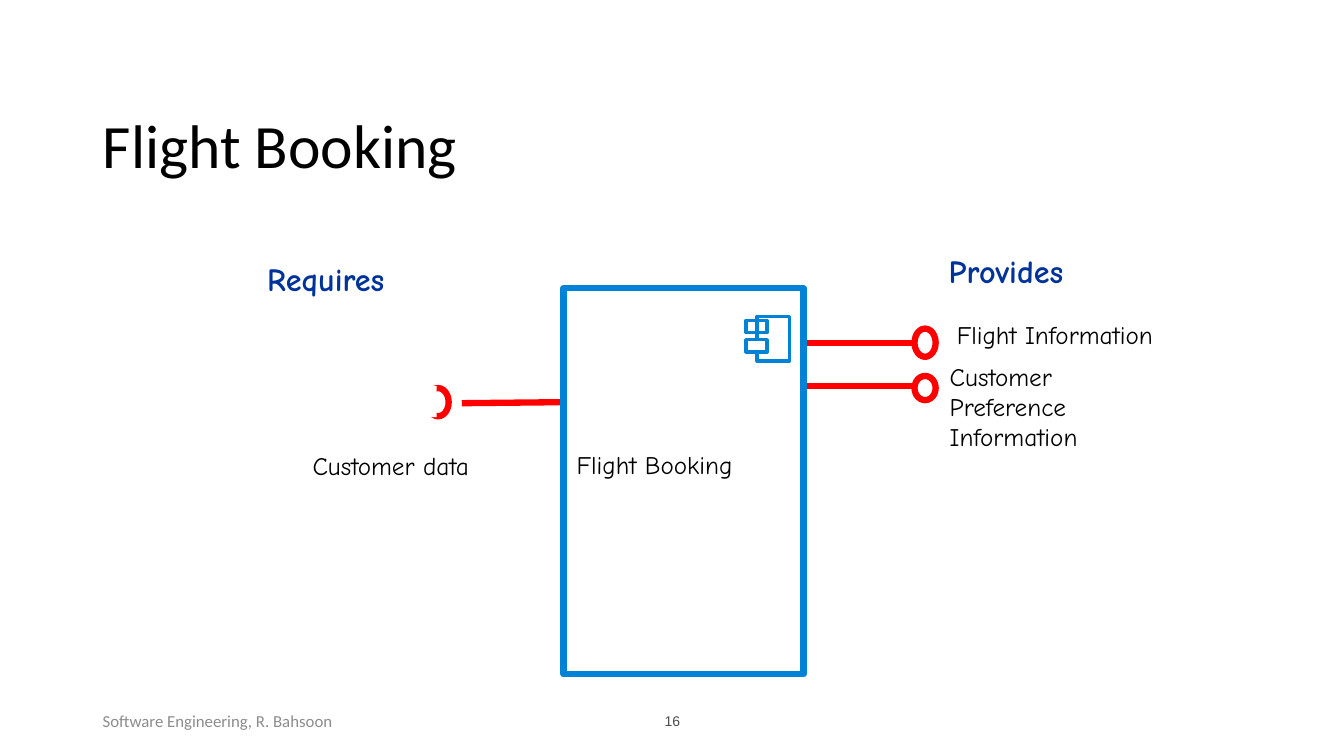
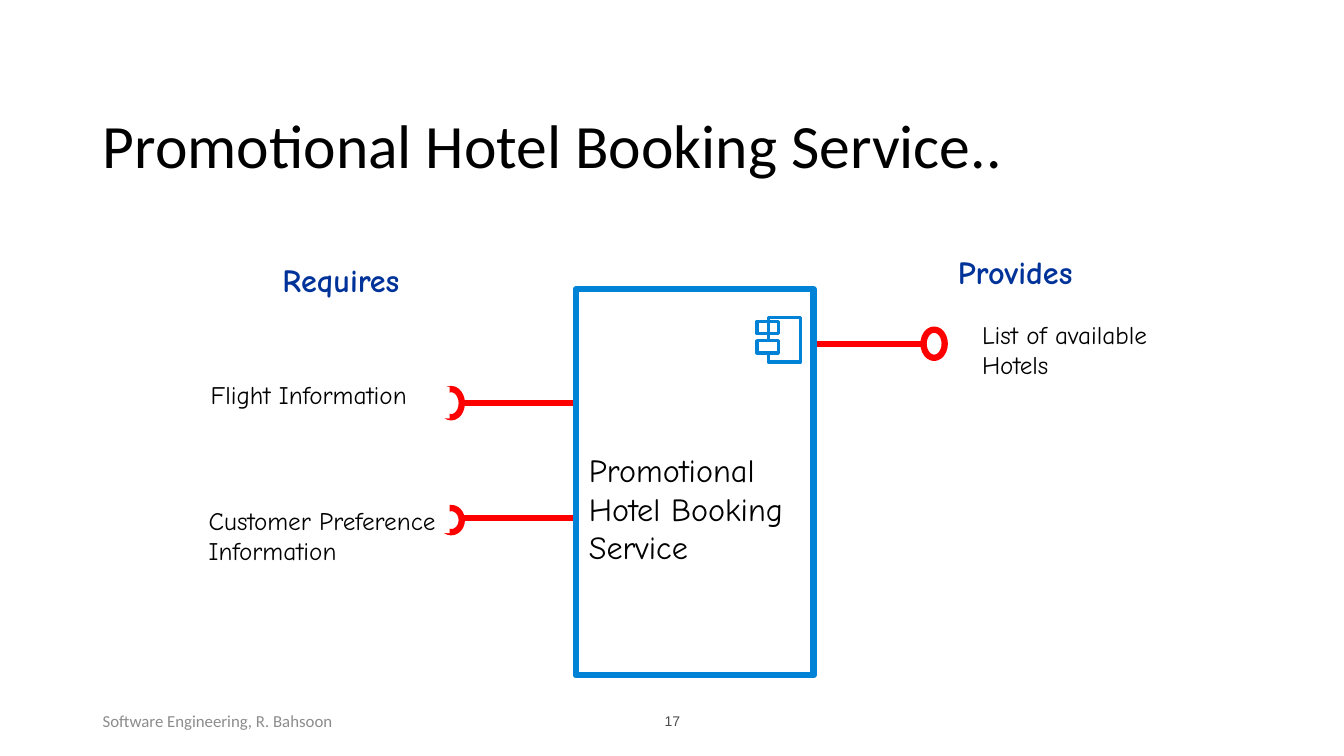
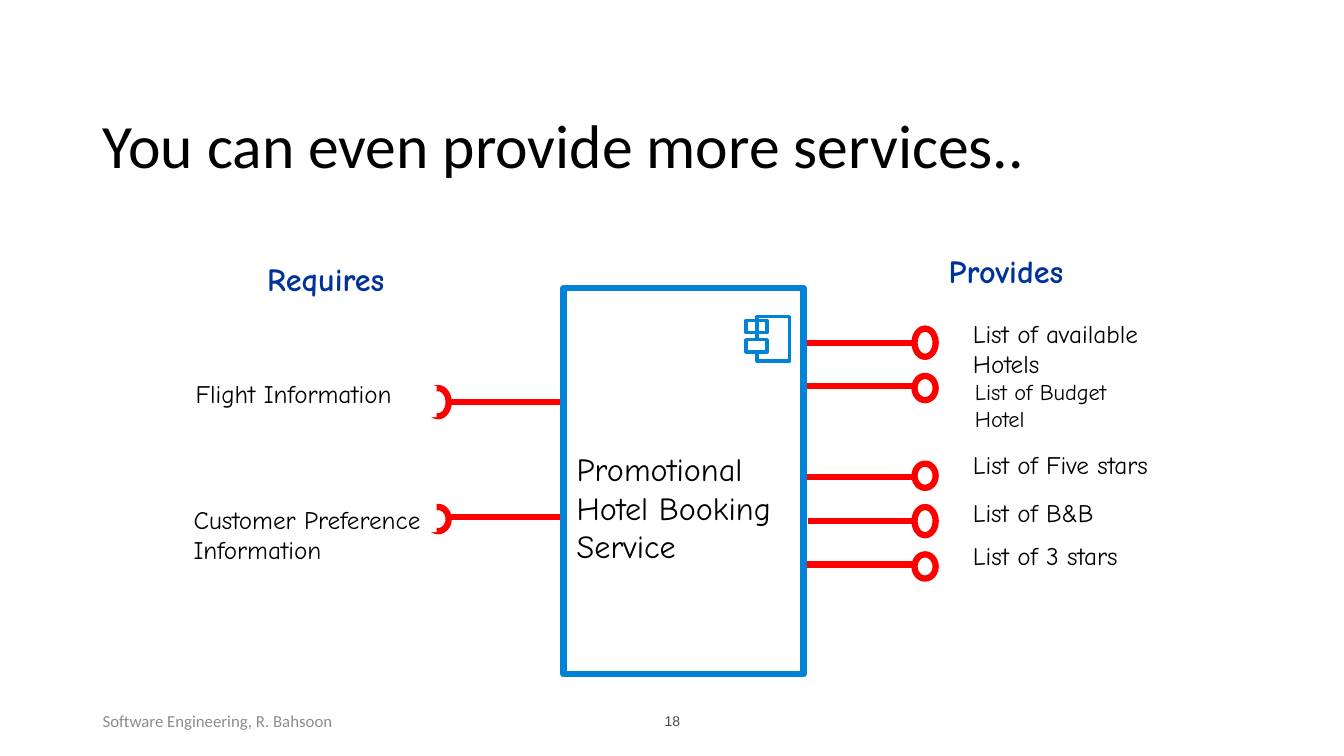
from lxml import etree
from pptx import Presentation
from pptx.dml.color import RGBColor
from pptx.enum.shapes import MSO_CONNECTOR as CONNECTOR, MSO_SHAPE as SHAPE
from pptx.enum.text import MSO_ANCHOR as ANCHOR, MSO_AUTO_SIZE as AUTO_SIZE, PP_ALIGN as ALIGN
from pptx.oxml.ns import qn
from pptx.util import Pt

PX = 9144
BLACK = RGBColor(0x00, 0x00, 0x00)
WHITE = RGBColor(0xFF, 0xFF, 0xFF)
NAVY = RGBColor(0x00, 0x33, 0x99)
BLUE = RGBColor(0x00, 0x83, 0xD7)
RED = RGBColor(0xFF, 0x00, 0x00)
GREY = RGBColor(0x8C, 0x8C, 0x8C)
DARK_GREY = RGBColor(0x4D, 0x4D, 0x4D)
HAND_FONT = "Comic Neue"


def write(box, text, size, color=BLACK, font=HAND_FONT, bold=False, align=ALIGN.LEFT):
    frame = box.text_frame
    frame.word_wrap = True
    frame.auto_size = AUTO_SIZE.NONE
    if font == HAND_FONT:
        frame.margin_left = frame.margin_top = frame.margin_right = frame.margin_bottom = 0
    frame.text = text
    for para in frame.paragraphs:
        para.alignment = align
        for span in para.runs:
            span.font.name = font
            span.font.size = Pt(size)
            span.font.bold = bold
            span.font.color.rgb = color
    return frame


def draw(page, kind, left, top, width, height, line=None, weight=0):
    shape = page.shapes.add_shape(kind, left * PX, top * PX, width * PX, height * PX)
    shape.shadow.inherit = False
    if line is None:
        shape.fill.solid()
        shape.fill.fore_color.rgb = WHITE
        shape.line.fill.background()
    else:
        shape.fill.background()
        shape.line.color.rgb = line
        shape.line.width = Pt(weight)


NARROW = dict(provides=941, requires=265, name=572, icon=740, ring=907, socket=424,
              frame=559, width=238, drop=0)
SHIFTED = dict(provides=950, requires=280, name=584, icon=751, ring=916, socket=437,
               frame=571, width=236, drop=1)
HOTEL_SERVICE = "Promotional\nHotel Booking\nService"

# rings: wire start, wire y, ring top, ring height
# sockets: wire end x, wire end y, wire start y, ring top, ring height, mask top
# labels: text, left, top, width, height, size
SLIDES = [
    dict(title="Flight Booking", name="Flight Booking", size=18, place=NARROW,
         rings=[(795, 340, 326, 28), (795, 383, 373, 24)],
         sockets=[(458, 400, 399, 385, 28, 383)],
         labels=[("Flight Information", 949, 317, 220, 30, 18),
                 ("Customer\nPreference\nInformation", 942, 358, 143, 91, 18),
                 ("Customer data", 310, 447, 170, 30, 18)]),
    dict(title="Promotional Hotel Booking Service..", name=HOTEL_SERVICE, size=23, place=SHIFTED,
         rings=[(805, 341, 327, 28)],
         sockets=[(460, 400, 400, 386, 28, 384), (457, 514, 514, 504, 24, 498)],
         labels=[("List of available\nHotels", 974, 317, 194, 61, 18),
                 ("Flight Information", 209, 376, 218, 30, 18),
                 ("Customer Preference\nInformation", 207, 501, 258, 61, 18)]),
    dict(title="You can even provide more services..", name=HOTEL_SERVICE, size=23, place=NARROW,
         rings=[(795, 340, 326, 28), (795, 383, 373, 24), (795, 473, 460, 24),
                (801, 517, 503, 28), (795, 560, 550, 24)],
         sockets=[(447, 399, 399, 385, 28, 383), (444, 513, 513, 503, 24, 497)],
         labels=[("List of available\nHotels", 965, 316, 193, 60, 18),
                 ("List of Budget\nHotel", 967, 375, 149, 57, 16),
                 ("List of Five stars", 965, 446, 202, 30, 18),
                 ("List of B&B", 965, 493, 133, 30, 18),
                 ("List of 3 stars", 965, 536, 169, 30, 18),
                 ("Flight Information", 194, 375, 218, 30, 18),
                 ("Customer Preference\nInformation", 192, 500, 256, 60, 18)]),
]

deck = Presentation()
deck.slide_width = 1333 * PX
deck.slide_height = 750 * PX

for number, slide in enumerate(SLIDES, start=16):
    page = deck.slides.add_slide(deck.slide_layouts[5])
    place = slide["place"]
    drop = place["drop"]

    title = page.shapes.title
    title.left, title.top, title.width, title.height = 92 * PX, 40 * PX, 1150 * PX, 145 * PX
    frame = write(title, slide["title"], 44, font="Calibri")
    frame.vertical_anchor = ANCHOR.BOTTOM
    frame.paragraphs[0].line_spacing = 0.9

    for text, left, width, size, font, color, align in [
        ("Software Engineering, R. Bahsoon", 92, 300, 12, "Calibri", GREY, ALIGN.LEFT),
        (str(number), 442, 450, 10, "Arial", DARK_GREY, ALIGN.CENTER),
    ]:
        box = page.shapes.add_textbox(left * PX, 695 * PX, width * PX, 40 * PX)
        write(box, text, size, color, font, align=align).vertical_anchor = ANCHOR.MIDDLE

    for text, left, top in [("Provides", place["provides"], 249), ("Requires", place["requires"], 257)]:
        box = page.shapes.add_textbox(left * PX, (top + drop) * PX, 130 * PX, 38 * PX)
        write(box, text, 23, NAVY, bold=True)

    icon = place["icon"]
    draw(page, SHAPE.RECTANGLE, icon + 11, 314 + drop, 32, 44, BLUE, 2.5)
    draw(page, SHAPE.RECTANGLE, icon, 318 + drop, 21, 12, BLUE, 2.5)
    draw(page, SHAPE.RECTANGLE, icon - 2, 336 + drop, 21, 12)
    draw(page, SHAPE.RECTANGLE, icon, 337 + drop, 21, 12, BLUE, 2.5)

    wires = [(start, y, place["ring"] - 2, y) for start, y, top, height in slide["rings"]]
    wires += [(place["frame"] - 2, start_y, end, end_y)
              for end, end_y, start_y, top, height, mask in slide["sockets"]]
    for wire in wires:
        connector = page.shapes.add_connector(CONNECTOR.STRAIGHT, *[length * PX for length in wire])
        connector.line.color.rgb = RED
        connector.line.width = Pt(4.5)
        etree.SubElement(connector.element.spPr, qn("a:effectLst"))

    for start, y, top, height in slide["rings"]:
        draw(page, SHAPE.OVAL, place["ring"], top, 21, height, RED, 4.5)
    for end, end_y, start_y, top, height, mask in slide["sockets"]:
        draw(page, SHAPE.OVAL, place["socket"], top, 21, height, RED, 4.5)
        draw(page, SHAPE.RECTANGLE, place["socket"] - 5, mask, 14, 31)

    draw(page, SHAPE.RECTANGLE, place["frame"], 286 + drop, place["width"], 383, BLUE, 4.5)

    name = (slide["name"], place["name"], 446 + drop, 206, 115, slide["size"])
    for text, left, top, width, height, size in [name] + slide["labels"]:
        box = page.shapes.add_textbox(left * PX, top * PX, width * PX, height * PX)
        write(box, text, size)

deck.save("out.pptx")
